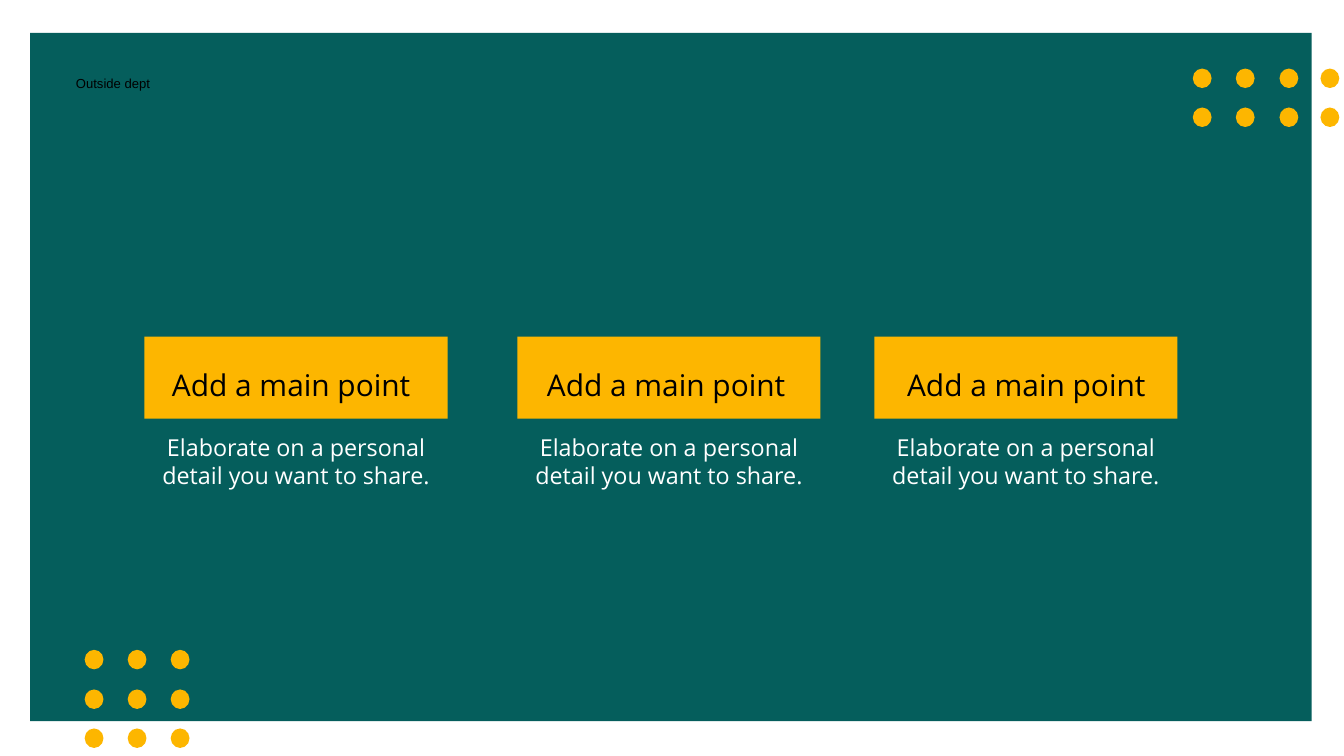
from dataclasses import dataclass
from itertools import product

from pptx import Presentation
from pptx.dml.color import RGBColor
from pptx.enum.shapes import MSO_SHAPE
from pptx.enum.text import MSO_ANCHOR, MSO_AUTO_SIZE, PP_ALIGN
from pptx.slide import Slide
from pptx.text.text import TextFrame
from pptx.util import Emu, Pt

EMU_PER_PX = 9144
TEAL = RGBColor(0x05, 0x5E, 0x5C)
AMBER = RGBColor(0xFD, 0xB6, 0x00)
WHITE = RGBColor(0xFF, 0xFF, 0xFF)
BLACK = RGBColor(0x00, 0x00, 0x00)


def px(length: int) -> Emu:
    return Emu(length * EMU_PER_PX)


@dataclass(frozen=True)
class Rect:
    left: int
    top: int
    width: int
    height: int

    def to_emu(self) -> tuple[Emu, Emu, Emu, Emu]:
        return px(self.left), px(self.top), px(self.width), px(self.height)


@dataclass(frozen=True)
class TextStyle:
    font: str
    size: int
    color: RGBColor
    align: PP_ALIGN = PP_ALIGN.CENTER
    line_spacing: float | Pt | None = None


@dataclass(frozen=True)
class PointCard:
    left: int
    heading_left: int
    heading: str = "Add a main point"
    detail: str = "Elaborate on a personal detail you want to share."


@dataclass(frozen=True)
class DotGrid:
    lefts: tuple[int, ...]
    tops: tuple[int, ...]


LABEL = TextStyle("Arial", 14, BLACK, PP_ALIGN.LEFT)
HEADING = TextStyle("Open Sans", 32, BLACK, line_spacing=1.5)
DETAIL = TextStyle("Open Sans", 25, WHITE, line_spacing=Pt(30))

CARD_WIDTH = 451
DOT_WIDTH, DOT_HEIGHT = 28, 29
CARDS = (PointCard(215, 208), PointCard(770, 766), PointCard(1301, 1302))
DOT_GRIDS = (
    DotGrid((126, 190, 254), (967, 1026, 1084)),
    DotGrid((1775, 1839, 1904, 1965), (102, 160)),
)


def draw_shape(page: Slide, kind: MSO_SHAPE, rect: Rect, color: RGBColor) -> None:
    shape = page.shapes.add_shape(kind, *rect.to_emu())
    shape.shadow.inherit = False
    shape.fill.solid()
    shape.fill.fore_color.rgb = color
    shape.line.fill.background()


def draw_text(page: Slide, rect: Rect, text: str, style: TextStyle,
              inset_x: int = 0, inset_y: int = 0) -> TextFrame:
    frame = page.shapes.add_textbox(*rect.to_emu()).text_frame
    frame.word_wrap = True
    frame.margin_left = frame.margin_right = px(inset_x)
    frame.margin_top = frame.margin_bottom = px(inset_y)
    paragraph = frame.paragraphs[0]
    paragraph.text = text
    paragraph.alignment = style.align
    paragraph.line_spacing = style.line_spacing
    paragraph.font.name = style.font
    paragraph.font.size = Pt(style.size)
    paragraph.font.color.rgb = style.color
    return frame


def draw_growing_text(page: Slide, rect: Rect, text: str, style: TextStyle) -> None:
    draw_text(page, rect, text, style).auto_size = MSO_AUTO_SIZE.SHAPE_TO_FIT_TEXT


def draw_card(page: Slide, card: PointCard) -> None:
    draw_shape(page, MSO_SHAPE.RECTANGLE, Rect(card.left, 501, CARD_WIDTH, 122), AMBER)
    heading = draw_text(page, Rect(card.heading_left, 508, CARD_WIDTH, 101),
                        card.heading, HEADING, inset_x=28, inset_y=101)
    heading.vertical_anchor = MSO_ANCHOR.MIDDLE
    draw_growing_text(page, Rect(card.left, 645, CARD_WIDTH, 83), card.detail, DETAIL)


def draw_dots(page: Slide, grid: DotGrid) -> None:
    for top, left in product(grid.tops, grid.lefts):
        draw_shape(page, MSO_SHAPE.OVAL, Rect(left, top, DOT_WIDTH, DOT_HEIGHT), AMBER)


def main() -> None:
    deck = Presentation()
    deck.slide_width, deck.slide_height = px(2000), px(1125)
    page = deck.slides.add_slide(deck.slide_layouts[6])

    draw_shape(page, MSO_SHAPE.RECTANGLE, Rect(45, 49, 1907, 1024), TEAL)
    draw_growing_text(page, Rect(113, 113, 464, 23), "Outside dept", LABEL)
    for card in CARDS:
        draw_card(page, card)
    for grid in DOT_GRIDS:
        draw_dots(page, grid)

    deck.save("out.pptx")


if __name__ == "__main__":
    main()
